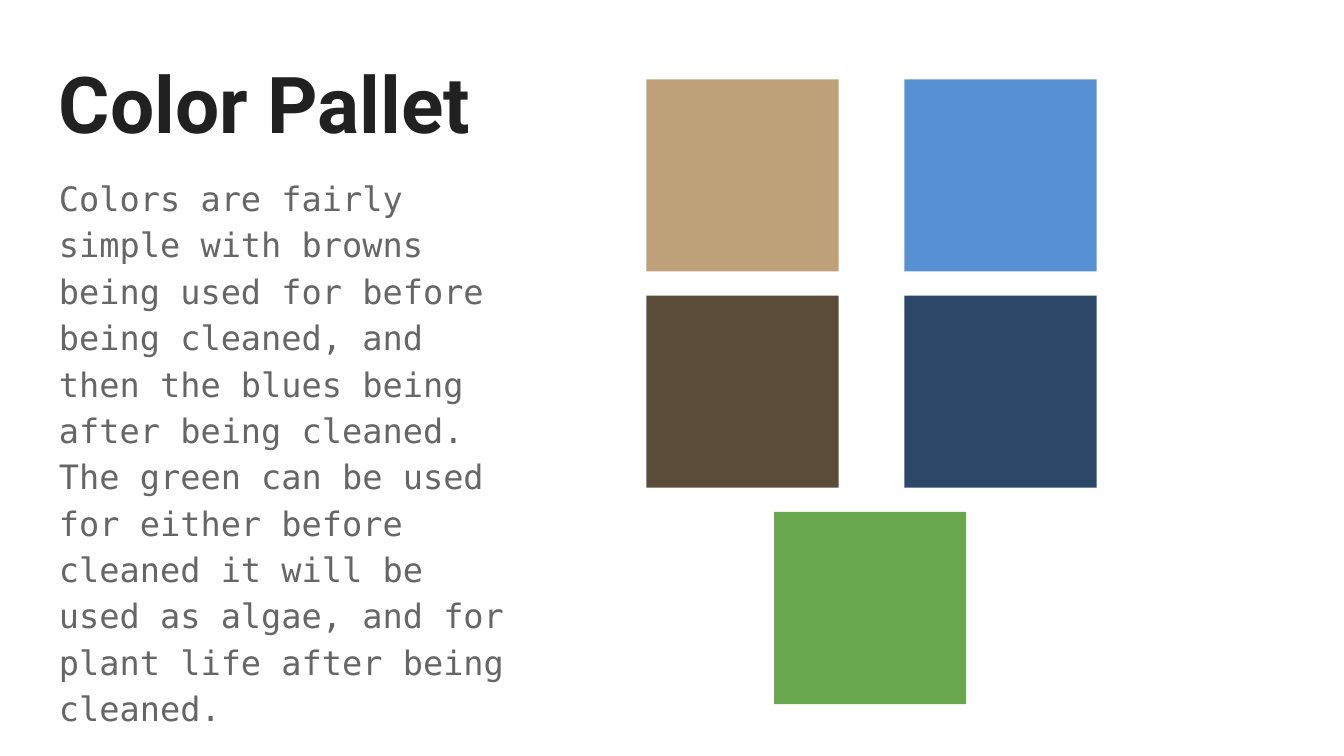
"""Build the color palette slide: a title, a description and five swatches."""
from pptx import Presentation
from pptx.dml.color import RGBColor
from pptx.enum.shapes import MSO_SHAPE
from pptx.enum.text import MSO_ANCHOR
from pptx.util import Inches, Pt

RECTANGLE = MSO_SHAPE.RECTANGLE
TOP, MIDDLE = MSO_ANCHOR.TOP, MSO_ANCHOR.MIDDLE

INK = RGBColor(0x21, 0x21, 0x21)
GRAY = RGBColor(0x66, 0x66, 0x66)
TAN = RGBColor(0xBF, 0xA1, 0x79)
BROWN = RGBColor(0x5B, 0x4C, 0x39)
SKY = RGBColor(0x58, 0x91, 0xD3)
NAVY = RGBColor(0x2C, 0x48, 0x69)
GREEN = RGBColor(0x6A, 0xA8, 0x4F)

TITLE = "Color Pallet"
DESCRIPTION = (
    "Colors are fairly simple with browns being used for before being cleaned, "
    "and then the blues being after being cleaned. The green can be used for "
    "either before cleaned it will be used as algae, and for plant life after "
    "being cleaned."
)
LEFT_COLUMN, CENTER_COLUMN, RIGHT_COLUMN = 4.81, 5.76, 6.73
SWATCHES = [
    (LEFT_COLUMN, 0, TAN),
    (LEFT_COLUMN, 1, BROWN),
    (RIGHT_COLUMN, 0, SKY),
    (RIGHT_COLUMN, 1, NAVY),
    (CENTER_COLUMN, 2, GREEN),
]
GRID_TOP, ROW_STEP, SWATCH_SIZE = 0.59, 1.61, 1.43


def add_text(slide, box, text, font_name, size, color, bold=False, anchor=TOP):
    text_box = slide.shapes.add_textbox(*(Inches(length) for length in box))
    frame = text_box.text_frame
    frame.word_wrap = True
    frame.vertical_anchor = anchor
    frame.margin_left = frame.margin_right = Inches(0.1)
    frame.margin_top = frame.margin_bottom = Inches(0.1)
    paragraph = frame.paragraphs[0]
    run = paragraph.add_run()
    run.text = text
    run.font.name = font_name
    run.font.size = Pt(size)
    run.font.bold = bold
    run.font.color.rgb = color
    return paragraph


def add_swatch(slide, left, row, color):
    shape = slide.shapes.add_shape(
        RECTANGLE,
        Inches(left),
        Inches(GRID_TOP + row * ROW_STEP),
        Inches(SWATCH_SIZE),
        Inches(SWATCH_SIZE),
    )
    shape.shadow.inherit = False
    shape.fill.solid()
    shape.fill.fore_color.rgb = color
    shape.line.fill.background()


def main():
    presentation = Presentation()
    presentation.slide_width = Inches(10)
    presentation.slide_height = Inches(10) * 9 // 16
    slide = presentation.slides.add_slide(presentation.slide_layouts[6])

    add_text(slide, (0.34, 0.32, 9.32, 0.88), TITLE, "Roboto", 42, INK, True, MIDDLE)
    description = add_text(
        slide, (0.34, 1.18, 3.55, 4.85), DESCRIPTION, "DejaVu Sans Mono", 18, GRAY
    )
    description.line_spacing = 1.15
    description.space_after = Pt(16)

    for left, row, color in SWATCHES:
        add_swatch(slide, left, row, color)

    presentation.save("out.pptx")


if __name__ == "__main__":
    main()
